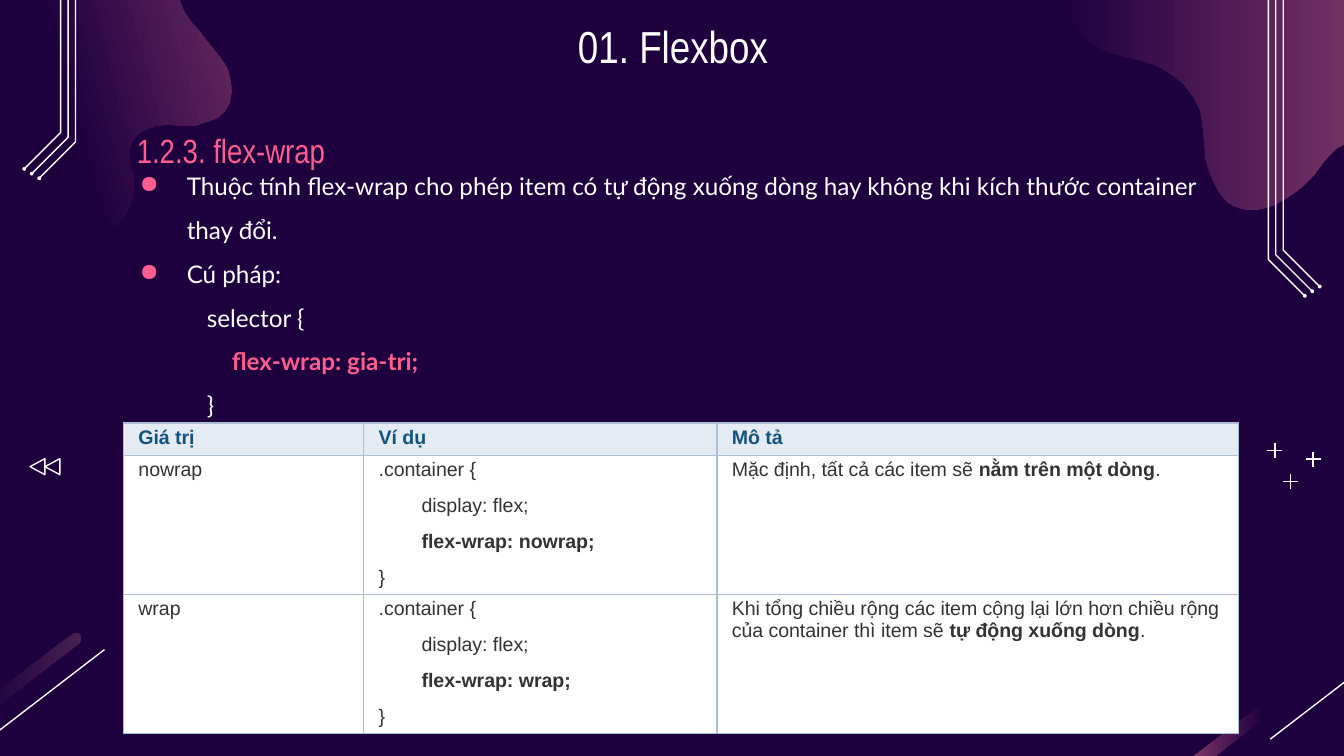
from lxml import etree
from pptx import Presentation
from pptx.dml.color import RGBColor
from pptx.enum import shapes, text
from pptx.oxml.ns import qn
from pptx.util import Pt

NIGHT, MAUVE, PINK, WHITE = "1E003F", "A64D79", "FF5E8E", "FFFFFF"
# Closed Bezier outlines: a start point, then three points for each curve.
LEFT_BLOB = [
    (175, 248), (194, 243), (202, 233), (205, 230), (211, 224), (213, 215), (212, 206),
    (211, 201), (209, 196), (210, 192), (211, 185), (217, 181), (222, 180),
    (223, 179), (223, 179), (224, 179), (230, 178), (236, 179), (243, 179),
    (246, 179), (248, 178), (251, 177), (254, 176), (258, 175), (260, 172),
    (266, 166), (265, 156), (262, 148), (258, 141), (252, 135), (247, 128),
    (241, 122), (236, 114), (236, 107), (236, 100), (238, 94), (243, 89),
    (246, 86), (251, 84), (255, 84), (261, 81), (269, 81), (277, 82),
    (285, 82), (293, 83), (301, 81), (302, 81), (303, 81), (305, 81),
    (311, 78), (318, 75), (322, 70), (327, 64), (328, 55), (326, 49),
    (325, 36), (316, 22), (308, 15), (295, 4), (277, 0), (261, 3),
    (260, 4), (259, 4), (258, 4), (233, 11), (215, 32), (191, 43),
    (187, 45), (183, 46), (179, 47), (156, 53), (131, 50), (107, 53),
    (96, 53), (85, 55), (75, 58), (66, 60), (57, 63), (48, 68),
    (36, 73), (24, 80), (15, 90), (6, 99), (0, 113), (1, 127),
    (1, 145), (14, 161), (28, 169), (43, 179), (60, 181), (77, 183),
    (87, 184), (97, 184), (107, 188), (117, 191), (127, 197), (131, 207),
    (135, 215), (135, 223), (138, 231), (145, 244), (161, 252), (175, 248)]
RIGHT_BLOB = [
    (242, 134), (242, 116), (237, 97), (228, 81), (220, 68), (208, 56), (194, 51),
    (178, 45), (161, 48), (144, 46), (128, 44), (112, 37), (101, 25),
    (93, 18), (86, 9), (78, 5), (68, 0), (56, 1), (45, 4),
    (37, 6), (28, 9), (22, 14), (10, 22), (5, 37), (3, 50),
    (1, 60), (0, 70), (0, 79), (0, 84), (0, 89), (1, 94),
    (1, 107), (5, 120), (14, 128), (26, 137), (42, 137), (54, 143),
    (64, 148), (71, 156), (75, 166), (77, 174), (77, 184), (78, 192),
    (80, 200), (84, 210), (90, 215), (97, 220), (107, 220), (115, 216),
    (123, 212), (130, 207), (136, 200), (140, 195), (143, 190), (148, 186),
    (153, 183), (159, 181), (165, 183), (176, 186), (179, 200), (189, 206),
    (213, 220), (230, 187), (236, 170), (240, 158), (242, 144), (242, 134)]
STREAK = [
    (105, 0), (106, 0), (107, 0), (108, 1), (109, 3), (109, 5), (107, 6),
    (107, 6), (6, 84), (6, 84), (4, 85), (2, 85), (1, 84),
    (0, 82), (0, 80), (2, 78), (2, 78), (103, 1), (105, 0)]


def rgb(hex_colour):
    return RGBColor.from_string(hex_colour)


def curve_points(outline, steps=8):
    pts = [outline[0]]
    for i in range(0, len(outline) - 1, 3):
        a, b, c, d = outline[i:i + 4]
        for t in (n / steps for n in range(1, steps + 1)):
            s = 1 - t
            pts.append(tuple(s**3 * a[k] + 3 * s * s * t * b[k] + 3 * s * t * t * c[k]
                             + t**3 * d[k] for k in (0, 1)))
    return pts


def add_outline(slide, x, y, pts, close):
    pts = [(Pt(x + px), Pt(y + py)) for px, py in pts]
    builder = slide.shapes.build_freeform(*pts[0])
    builder.add_line_segments(pts[1:], close=close)
    sp = builder.convert_to_shape()
    sp.shadow.inherit = False
    return sp


def add_blob(slide, x, y, outline, angle, end=MAUVE, dark_until=0):
    """Angle runs counter-clockwise from left-to-right."""
    sp = add_outline(slide, x, y, curve_points(outline), True)
    sp.line.fill.background()
    sp.fill.gradient()
    sp.fill.gradient_angle = angle
    for stop, pos, colour in zip(sp.fill.gradient_stops, (dark_until, 1), (NIGHT, end)):
        stop.position = pos
        stop.color.rgb = rgb(colour)


def add_line(slide, x1, y1, x2, y2):
    ln = slide.shapes.add_connector(shapes.MSO_CONNECTOR.STRAIGHT, Pt(x1), Pt(y1), Pt(x2), Pt(y2))
    ln.line.color.rgb = rgb(WHITE)
    ln.line.width = Pt(0.75)
    etree.SubElement(ln._element.spPr, qn("a:effectLst"))


def add_rails(slide, x, y, side):
    """Three bent rails; side is 1 to bend right, -1 to bend left."""
    for i in range(3):
        rail_x, bend, run = x + side * 4 * i, 225 - 2.5 * i, 19.5
        sp = add_outline(slide, rail_x, y, [(0, 0), (0, bend), (side * run, bend + run)], False)
        sp.fill.background()
        sp.line.color.rgb = rgb(WHITE)
        sp.line.width = Pt(0.75)
        dot = slide.shapes.add_shape(shapes.MSO_SHAPE.OVAL, Pt(rail_x + side * run - 1),
                                     Pt(y + bend + run - 1), Pt(2), Pt(2))
        dot.shadow.inherit = False
        dot.fill.solid()
        dot.fill.fore_color.rgb = rgb(WHITE)
        dot.line.fill.background()


def add_pluses(slide, x, y):
    for dx, dy in ((4, 4), (12.5, 20.5), (24.5, 8.5)):
        cx, cy = x + dx, y + dy
        add_line(slide, cx - 4, cy, cx + 4, cy)
        add_line(slide, cx, cy - 4, cx, cy + 4)


def add_rewind(slide, x, y):
    for i in range(2):
        sp = slide.shapes.add_shape(shapes.MSO_SHAPE.ISOSCELES_TRIANGLE,
                                    Pt(x + 8 * i), Pt(y), Pt(8.6), Pt(8))
        sp.rotation = 270
        sp.shadow.inherit = False
        sp.fill.background()
        sp.line.color.rgb = rgb(WHITE)
        sp.line.width = Pt(0.75)


def add_decor(slide):
    add_blob(slide, -140.4, -111.6, LEFT_BLOB, 15, dark_until=0.5)
    add_blob(slide, 568, -106.5, RIGHT_BLOB, 0)
    add_blob(slide, -65, 339, STREAK, 0, "47204F", 0.5)
    add_blob(slide, 622, 339, STREAK, 180, dark_until=0.5)
    for x in (-6.5, 680.5):
        add_line(slide, x + 62.5, 348, x, 396)
    add_rails(slide, 679.5, -86, 1)
    add_rails(slide, 40.5, -149, -1)
    add_pluses(slide, 679, 237.5)
    add_rewind(slide, 15.8, 246)


def write(p, runs, font, size, colour):
    """Runs are (text, bold, colour or None for the default) or one plain string."""
    for content, bold, own in [(runs, False, None)] if isinstance(runs, str) else runs:
        r = p.add_run()
        r.text = content
        r.font.name, r.font.size, r.font.bold = font, Pt(size), bold
        r.font.color.rgb = rgb(own or colour)


def set_indent(p, margin, first=0, bullet=None):
    pPr = p._p.get_or_add_pPr()
    pPr.set("marL", str(Pt(margin)))
    pPr.set("indent", str(Pt(first)))
    if bullet:
        colour = etree.SubElement(pPr, qn("a:buClr"))
        etree.SubElement(colour, qn("a:srgbClr")).set("val", PINK)
        etree.SubElement(pPr, qn("a:buChar")).set("char", bullet)


def set_frame(sp, anchor):
    tf = sp.text_frame
    tf.word_wrap = True
    tf.auto_size = text.MSO_AUTO_SIZE.NONE
    tf.vertical_anchor = anchor
    tf.margin_left = tf.margin_right = tf.margin_top = tf.margin_bottom = Pt(7.2)
    return tf


def add_title(slide, x, y, w, h):
    sp = slide.shapes.title
    sp.left, sp.top, sp.width, sp.height = Pt(x), Pt(y), Pt(w), Pt(h)
    p = set_frame(sp, text.MSO_ANCHOR.MIDDLE).paragraphs[0]
    p.alignment = text.PP_ALIGN.CENTER
    write(p, "01. Flexbox", "Arial Narrow", 24, WHITE)


def add_heading(slide, x, y, w, h):
    sp = slide.shapes.add_textbox(Pt(x), Pt(y), Pt(w), Pt(h))
    p = set_frame(sp, text.MSO_ANCHOR.BOTTOM).paragraphs[0]
    p.line_spacing, p.space_after = 1.15, Pt(12)
    write(p, "1.2.3. flex-wrap", "Arial Narrow", 18, PINK)


def add_body(slide, x, y, w, h):
    tf = set_frame(slide.shapes.add_textbox(Pt(x), Pt(y), Pt(w), Pt(h)), text.MSO_ANCHOR.TOP)
    lines = [
        ("Thuộc tính flex-wrap cho phép item có tự động xuống dòng hay không khi "
         "kích thước container thay đổi.", 36, -25.2, "●"),
        ("Cú pháp:", 36, -25.2, "●"),
        ("selector {", 46.8, 0, None),
        ([("flex-wrap: gia-tri;", True, PINK)], 60.2, 0, None),
        ("}", 46.8, 0, None)]
    for i, (runs, margin, first, bullet) in enumerate(lines):
        p = tf.add_paragraph() if i else tf.paragraphs[0]
        p.line_spacing = 1.5
        set_indent(p, margin, first, bullet)
        write(p, runs, "Lato", 13, WHITE)


def fill_cell(cell, lines, fill, colour):
    """Lines are (runs, left indent) pairs."""
    cell.margin_left = cell.margin_right = Pt(8)
    cell.margin_top = cell.margin_bottom = Pt(2)
    for i, (runs, margin) in enumerate(lines):
        p = cell.text_frame.add_paragraph() if i else cell.text_frame.paragraphs[0]
        if i:
            p.space_before = Pt(7.5)
        set_indent(p, margin)
        write(p, runs, "Arial", 10.5, colour)
    tcPr = cell._tc.get_or_add_tcPr()
    for side in ("lnL", "lnR", "lnT", "lnB"):
        ln = etree.SubElement(tcPr, qn("a:" + side), w=str(Pt(0.75)))
        etree.SubElement(etree.SubElement(ln, qn("a:solidFill")), qn("a:srgbClr"), val="ACBED4")
    cell.fill.solid()
    cell.fill.fore_color.rgb = rgb(fill)


def add_value_table(slide, x, y, w, h):
    table = slide.shapes.add_table(3, 3, Pt(x), Pt(y), Pt(w), Pt(h)).table
    table.first_row = table.horz_banding = False
    for col, width in zip(table.columns, (128.7, 189.2, w - 317.9)):
        col.width = Pt(width)
    for row, height in zip(table.rows, (17.4, (h - 17.4) / 2, (h - 17.4) / 2)):
        row.height = Pt(height)
    for c, label in enumerate(("Giá trị", "Ví dụ", "Mô tả")):
        fill_cell(table.cell(0, c), [([(label, True, None)], 0)], "E4EBF2", "12537F")
    values = [
        ("nowrap", "Mặc định, tất cả các item sẽ ", "nằm trên một dòng"),
        ("wrap", "Khi tổng chiều rộng các item cộng lại lớn hơn chiều rộng của container "
         "thì item sẽ ", "tự động xuống dòng")]
    for r, (value, lead, effect) in enumerate(values, 1):
        example = [(".container {", 0), ("display: flex;", 23),
                   ([(f"flex-wrap: {value};", True, None)], 23), ("}", 0)]
        meaning = [(lead, False, None), (effect, True, None), (".", False, None)]
        for c, lines in enumerate(([(value, 0)], example, [(meaning, 0)])):
            fill_cell(table.cell(r, c), lines, WHITE, "333333")


def main():
    prs = Presentation()
    prs.slide_width, prs.slide_height = Pt(720), Pt(405)
    slide = prs.slides.add_slide(prs.slide_layouts[5])
    slide.background.fill.solid()
    slide.background.fill.fore_color.rgb = rgb(NIGHT)
    add_decor(slide)
    add_body(slide, 57, 77, 607, 134.6)
    add_title(slide, 57, 1.5, 607, 45.5)
    add_heading(slide, 66.2, 66.2, 505.5, 32.4)
    add_value_table(slide, 66.2, 226.6, 597.4, 166.4)
    prs.save("out.pptx")


if __name__ == "__main__":
    main()
